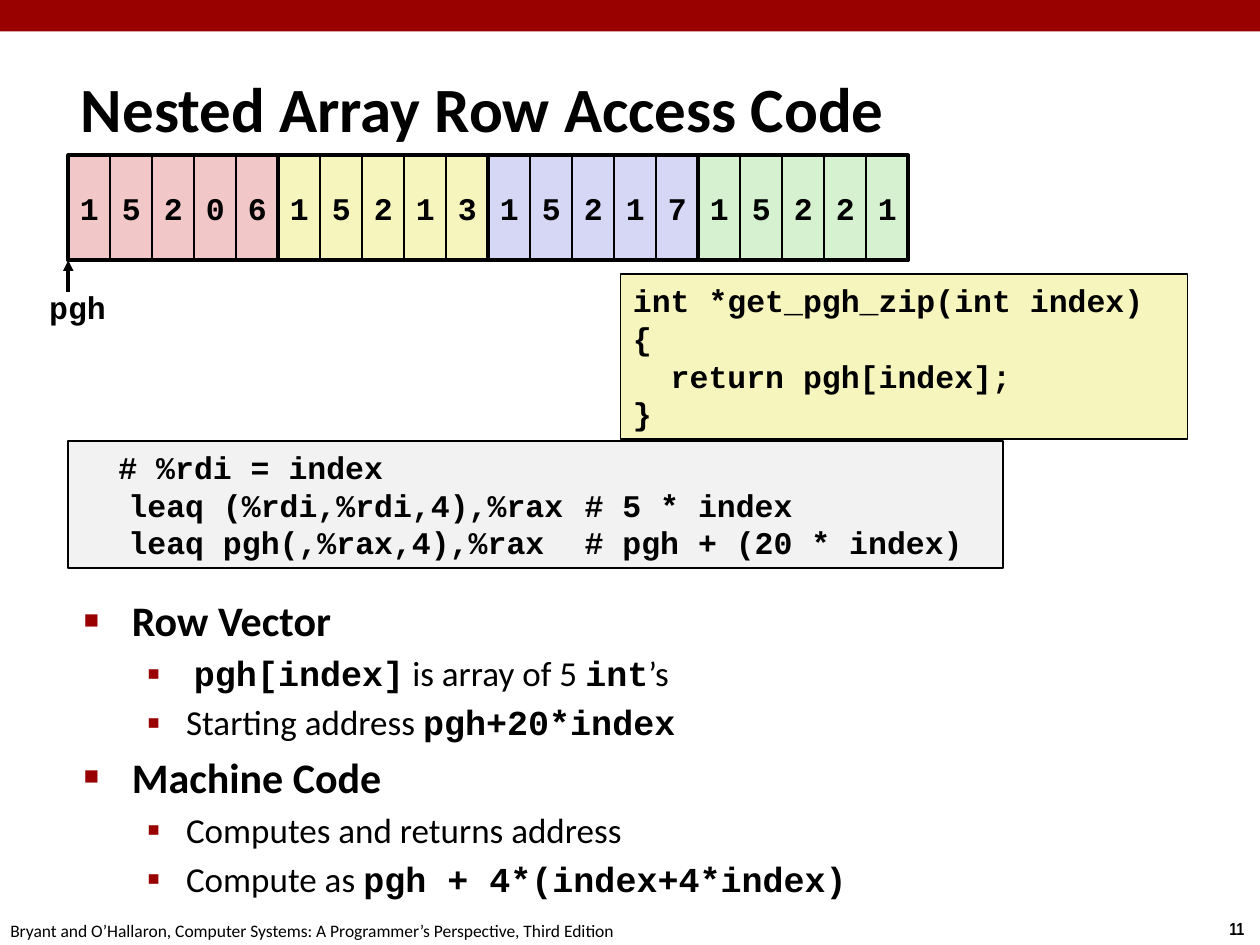
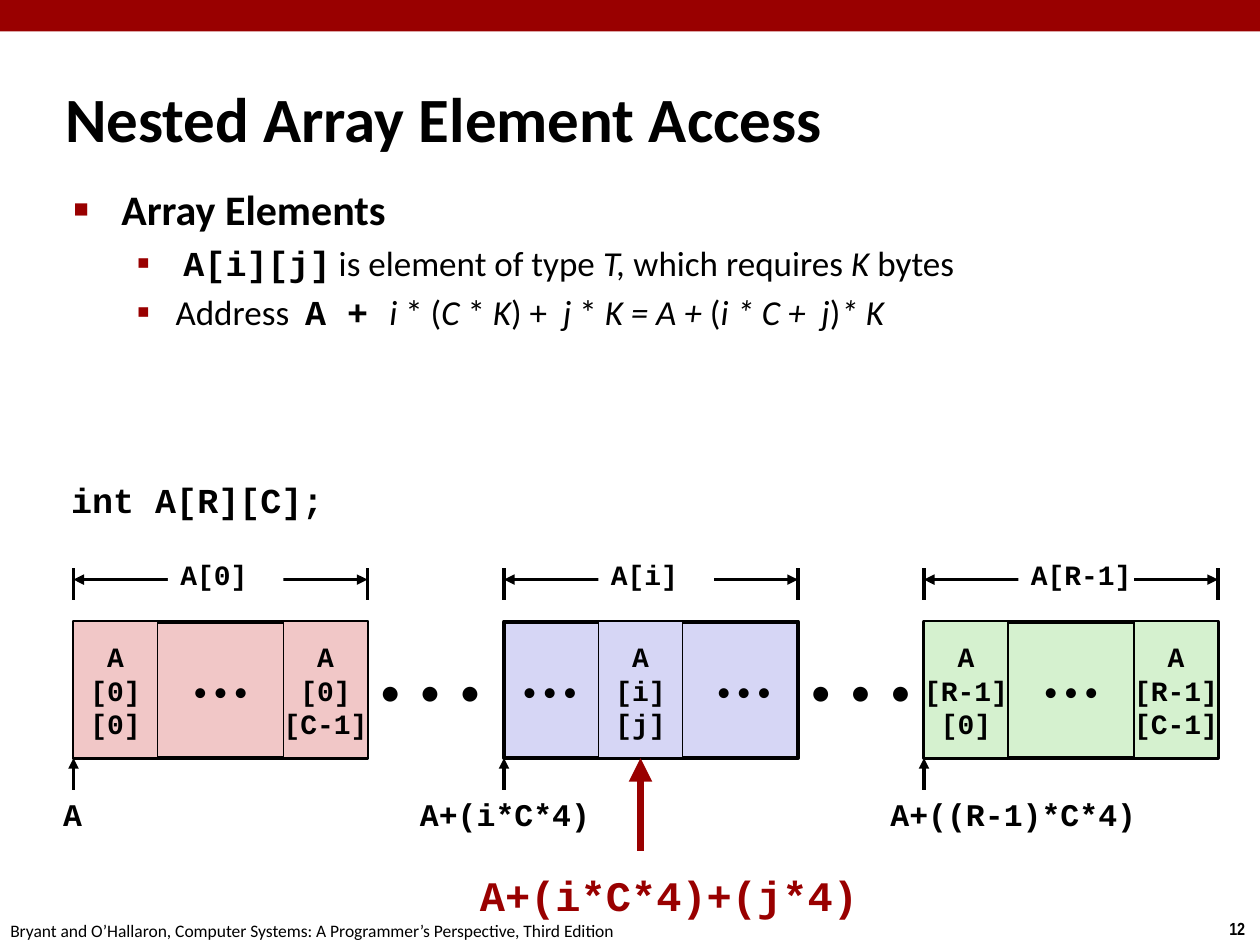
from lxml.etree import SubElement
from pptx import Presentation
from pptx.dml.color import RGBColor
from pptx.enum.shapes import MSO_CONNECTOR, MSO_SHAPE
from pptx.enum.text import MSO_ANCHOR, MSO_AUTO_SIZE, PP_ALIGN
from pptx.oxml.ns import qn
from pptx.util import Inches, Pt

COLORS = {
    "band": "990000", "ink": "000000", "paper": "FFFFFF", "gray": "F2F2F2",
    "red": "F1C7C7", "yellow": "F6F5BD", "blue": "D6D6F5", "green": "D5F1CF",
}
RGB = {name: RGBColor.from_string(value) for name, value in COLORS.items()}
PROSE, CODE, NUMBER = "Calibri", "Courier New", "Arial Narrow"
DOTS = "• • •"
WIDE_DOTS = "•  •  •"

deck = Presentation()
deck.slide_width, deck.slide_height = Inches(10), Inches(7.5)
COLUMN, ROW = deck.slide_width / 120, deck.slide_height / 90


def box(slide, x, y, w, h, lines=(), fill=None, border=0, size=18, font=CODE,
        bold=True, color="ink", align=PP_ALIGN.LEFT, tabs=(), wrap=False):
    area = [int(n) for n in (x * COLUMN, y * ROW, w * COLUMN, h * ROW)]
    if fill or border:
        shape = slide.shapes.add_shape(MSO_SHAPE.RECTANGLE, *area)
        shape.shadow.inherit = False
        if fill:
            shape.fill.solid()
            shape.fill.fore_color.rgb = RGB[fill]
        else:
            shape.fill.background()
        if border:
            shape.line.color.rgb = RGB["ink"]
            shape.line.width = Pt(border)
        else:
            shape.line.fill.background()
        shape.text_frame.vertical_anchor = MSO_ANCHOR.MIDDLE
    else:
        shape = slide.shapes.add_textbox(*area)
    frame = shape.text_frame
    frame.word_wrap = wrap
    for index, line in enumerate(lines):
        paragraph = frame.add_paragraph() if index else frame.paragraphs[0]
        paragraph.text = line
        paragraph.alignment = align
        if tabs:
            stops = SubElement(paragraph._p.get_or_add_pPr(), qn("a:tabLst"))
            for stop in tabs:
                SubElement(stops, qn("a:tab"), pos=str(Inches(stop)), algn="l")
        paragraph.font.name, paragraph.font.size = font, Pt(size)
        paragraph.font.bold = bold
        paragraph.font.color.rgb = RGB[color]
    return shape


def rule(slide, x1, y1, x2, y2, width=2, color="ink", arrows=()):
    connector = slide.shapes.add_connector(
        MSO_CONNECTOR.STRAIGHT, int(x1 * COLUMN), int(y1 * ROW),
        int(x2 * COLUMN), int(y2 * ROW))
    connector.line.color.rgb = RGB[color]
    connector.line.width = Pt(width)
    properties = connector.element.spPr
    for end in arrows:
        SubElement(properties.find(qn("a:ln")), qn("a:" + end), type="triangle")
    SubElement(properties, qn("a:effectLst"))
    return connector


outlines = [
    ("Nested Array Row Access Code", (6.5, 6.5, 100.3, 7.5), (6.8, 56, 97.2, 32), [
        (0, [("Row Vector", "")]),
        (1, [(" ", ""), ("pgh[index]", "code"), (" is array of 5 ", ""),
             ("int", "code"), ("’s", "")]),
        (1, [("Starting address ", ""), ("pgh+20*index", "code")]),
        (0, [("Machine Code", "")]),
        (1, [("Computes and returns address", "")]),
        (1, [("Compute as ", ""), ("pgh + 4*(index+4*index)", "code")]),
    ]),
    ("Nested Array Element Access", (5, 7.4, 91, 7.5), (5.8, 16.9, 102.2, 19.1), [
        (0, [("Array Elements", "")]),
        (1, [(" ", ""), ("A[i][j]", "code"), (" is element of type ", ""),
             ("T, ", "italic"), ("which requires ", ""), ("K", "italic"),
             (" bytes", "")]),
        (1, [("Address  ", ""), ("A + ", "code"), ("i ", "italic"), ("* (", ""),
             ("C ", "italic"), ("* ", ""), ("K", "italic"), (") +  ", ""),
             ("j", "italic"), (" * ", ""), ("K = A + ", "italic"), ("(", ""),
             ("i * C +  j", "italic"), (")", ""), ("* K", "italic")]),
    ]),
]
LEVELS = [(0.38, -0.38, "■", 60, 24), (0.81, -0.31, "▪", 110, 20)]

for page, (heading, heading_area, body_area, points) in enumerate(outlines, 11):
    slide = deck.slides.add_slide(deck.slide_layouts[1])
    box(slide, 0, 0, 120, 3, fill="band")
    box(slide, 115.9, 86.8, 4.1, 3.2, [str(page)], size=10, font=NUMBER)
    box(slide, -0.2, 87, 61, 3.2,
        ["Bryant and O’Hallaron, Computer Systems: A Programmer’s Perspective, Third Edition"],
        size=10, font=PROSE, bold=False)

    title, body = slide.shapes.title, slide.placeholders[1]
    for holder, (x, y, w, h) in ((title, heading_area), (body, body_area)):
        holder.left, holder.top = int(x * COLUMN), int(y * ROW)
        holder.width, holder.height = int(w * COLUMN), int(h * ROW)
        holder.text_frame.auto_size = MSO_AUTO_SIZE.NONE

    title.text_frame.text = heading
    title.text_frame.vertical_anchor = MSO_ANCHOR.MIDDLE
    headline = title.text_frame.paragraphs[0]
    headline.alignment = PP_ALIGN.LEFT
    headline.font.name, headline.font.size, headline.font.bold = PROSE, Pt(36), True
    headline.font.color.rgb = RGB["ink"]

    for index, (level, parts) in enumerate(points):
        margin, indent, bullet, scale, size = LEVELS[level]
        point = body.text_frame.add_paragraph() if index else body.text_frame.paragraphs[0]
        point.level = level
        layout = point._p.get_or_add_pPr()
        layout.set("marL", str(Inches(margin)))
        layout.set("indent", str(Inches(indent)))
        SubElement(SubElement(layout, qn("a:buClr")), qn("a:srgbClr"), val=COLORS["band"])
        SubElement(layout, qn("a:buSzPct"), val=str(scale * 1000))
        SubElement(layout, qn("a:buChar"), char=bullet)
        point.font.size, point.font.bold = Pt(size), level == 0
        point.font.name, point.font.color.rgb = PROSE, RGB["ink"]
        for words, style in parts:
            run = point.add_run()
            run.text = words
            if style == "code":
                run.font.name, run.font.bold = CODE, True
            elif style == "italic":
                run.font.italic = True

row_access, element_access = deck.slides

box(row_access, 59.1, 26.1, 54, 15.7,
    ["int *get_pgh_zip(int index)", "{", "  return pgh[index];", "}"], "yellow", 1)
box(row_access, 6.5, 42, 89, 12.1,
    ["  # %rdi = index",
     "\tleaq (%rdi,%rdi,4),%rax\t# 5 * index",
     "\tleaq pgh(,%rax,4),%rax\t# pgh + (20 * index)"],
    "gray", 1, tabs=(0.38, 4), wrap=True)
ARRAY_LEFT, ARRAY_TOP, DIGIT_WIDTH, DIGIT_HEIGHT = 6.5, 14.8, 4, 10
array_bottom = ARRAY_TOP + DIGIT_HEIGHT
rule(row_access, ARRAY_LEFT, array_bottom + 3, ARRAY_LEFT, array_bottom, arrows=["tailEnd"])
box(row_access, 3.5, 26.8, 7.9, 4.8, ["pgh"])
zip_codes = [("15206", "red"), ("15213", "yellow"), ("15217", "blue"), ("15221", "green")]
for group, (zip_code, tint) in enumerate(zip_codes):
    group_left = ARRAY_LEFT + group * 5 * DIGIT_WIDTH
    for place, digit in enumerate(zip_code):
        box(row_access, group_left + place * DIGIT_WIDTH, ARRAY_TOP, DIGIT_WIDTH,
            DIGIT_HEIGHT, [digit], tint, 1, align=PP_ALIGN.CENTER)
for group in range(len(zip_codes)):
    box(row_access, ARRAY_LEFT + group * 5 * DIGIT_WIDTH, ARRAY_TOP,
        5 * DIGIT_WIDTH, DIGIT_HEIGHT, border=2.25)

ROW_TOP, ROW_WIDTH, ROW_HEIGHT, ELEMENT_WIDTH = 59.2, 28, 13, 8
row_bottom = ROW_TOP + ROW_HEIGHT
for gap_left in (35, 76):
    box(element_access, gap_left, ROW_TOP, 13, ROW_HEIGHT, [WIDE_DOTS], "paper",
        size=24, font=PROSE, bold=False)

array_rows = [
    (7, "red", "A[0]", DOTS, [(0, "[0]", "[0]"), (20, "[0]", "[C-1]")],
     "A", (4.3, 5.2)),
    (48, "blue", "A[i]", f" {DOTS}\t{DOTS}", [(9, "[i]", "[j]")],
     "A+(i*C*4)", (38.6, 19)),
    (88, "green", "A[R-1]", DOTS, [(0, "[R-1]", "[0]"), (20, "[R-1]", "[C-1]")],
     "A+((R-1)*C*4)", (83, 27)),
]
for left, tint, row_name, dots, elements, address, (address_left, address_width) in array_rows:
    right = left + ROW_WIDTH
    split = "\t" in dots
    box(element_access, left, ROW_TOP, ROW_WIDTH, ROW_HEIGHT, [dots], tint, 2.25,
        size=16, font=PROSE, bold=False, wrap=split, tabs=(1.59,) if split else (),
        align=PP_ALIGN.LEFT if split else PP_ALIGN.CENTER)
    for offset, i, j in elements:
        element = box(element_access, left + offset, ROW_TOP, ELEMENT_WIDTH, ROW_HEIGHT,
                      ["A", i, j], tint, 1, size=16, align=PP_ALIGN.CENTER)
        if j == "[j]":
            chosen_element = element
    for edge in (left, right):
        rule(element_access, edge, 54.1, edge, 57.1)
    rule(element_access, left, 55.2, right, 55.2, arrows=["headEnd", "tailEnd"])
    box(element_access, left + 9, 52.2, 11, 5, [row_name], "paper", size=16)
    rule(element_access, left, row_bottom + 3, left, row_bottom, arrows=["tailEnd"])
    box(element_access, address_left, 75.1, address_width, 4.8, [address],
        align=PP_ALIGN.CENTER)

box(element_access, 5.6, 45, 30, 5.2, ["int A[R][C];"], size=20)
pointer = rule(element_access, 61, 81, 61, row_bottom, 4.5, "band", ["tailEnd"])
pointer.end_connect(chosen_element, 2)
box(element_access, 44.3, 82.2, 38.8, 6, ["A+(i*C*4)+(j*4)"], size=24, color="band",
    align=PP_ALIGN.CENTER)

deck.save("out.pptx")
